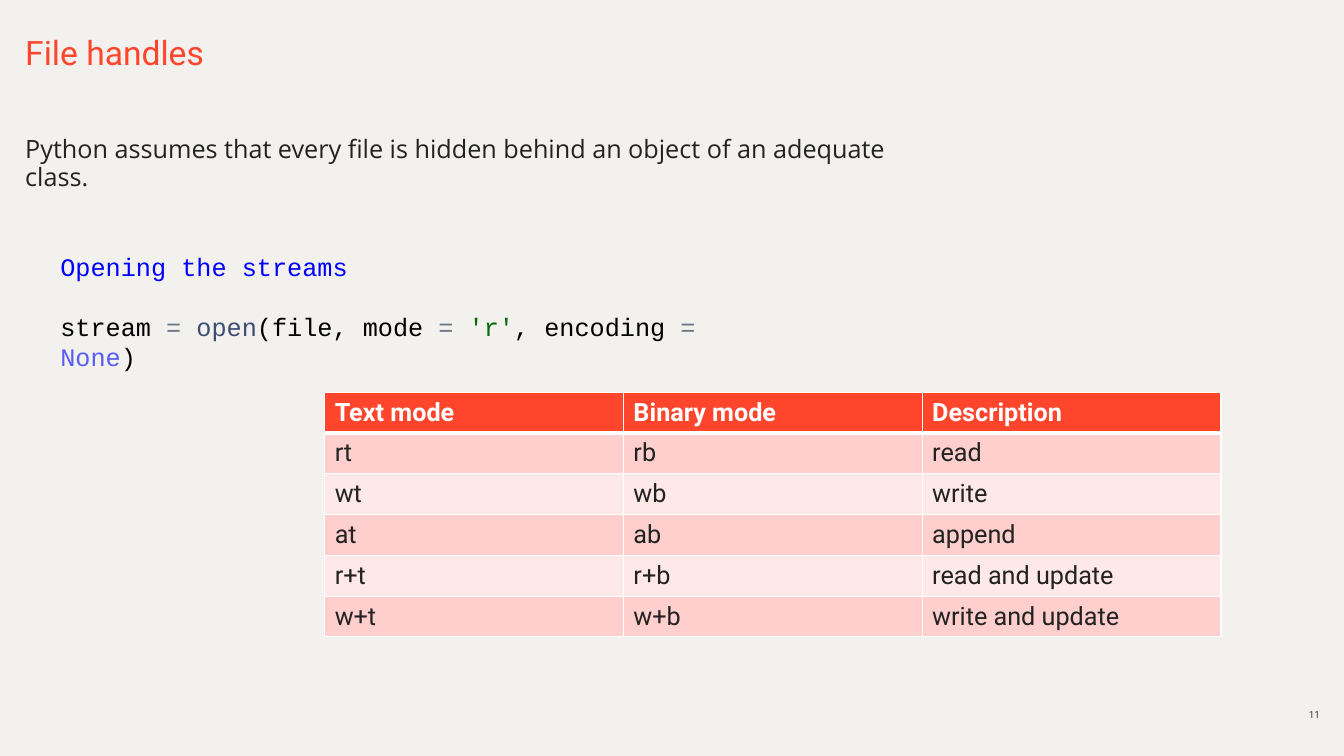
from lxml.etree import SubElement
from pptx import Presentation
from pptx.dml.color import RGBColor
from pptx.enum.text import MSO_ANCHOR as Anchor, PP_ALIGN as Align
from pptx.oxml.ns import qn
from pptx.util import Pt

PX = 9144
SLIDE = (1333, 750)
BACKGROUND = "F2F1EE"
INK, RED, WHITE, BLACK, GREY = "222222", "FF462D", "FFFFFF", "000000", "687687"
BANDS = ["FFCFCD", "FFE9E8"]

TITLE = [[("File handles", RED)]]
INTRO = [[("Python assumes that every file is hidden behind an object of an adequate class.", INK)]]
PAGE_NUMBER = [[("11", "3D3B3B")]]
CODE = [
    [("Opening the streams", "0000FF")],
    [("stream ", BLACK), ("= ", GREY), ("open", "3C4C72"), ("(file, mode ", BLACK),
     ("= ", GREY), ("'r'", "036A07"), (", encoding ", BLACK), ("= ", GREY),
     ("None", "585CF6"), (")", BLACK)],
]
MODES = [
    ("Text mode", "Binary mode", "Description"),
    ("rt", "rb", "read"),
    ("wt", "wb", "write"),
    ("at", "ab", "append"),
    ("r+t", "r+b", "read and update"),
    ("w+t", "w+b", "write and update"),
]

TITLE_BOX = (25, 32, 808, 31)
INTRO_BOX = (25, 136, 882, 199)
CODE_BOX = (50, 244, 667, 131)
PAGE_NUMBER_BOX = (1281, 691, 28, 24)
MODES_BOX = (322, 389, 889, 243)

TITLE_FONT = {"name": "Roboto", "size": Pt(24), "bold": False}
INTRO_FONT = {"name": "Open Sans", "size": Pt(18)}
CODE_FONT = {"name": "Courier New", "size": Pt(18)}
NUMBER_FONT = {"name": "Roboto", "size": Pt(7)}
HEADER_FONT = {"name": "Roboto", "size": Pt(18), "bold": True}
CELL_FONT = {**HEADER_FONT, "bold": False}

FLUSH = {f"margin_{side}": 0 for side in ("left", "top", "right", "bottom")}
TOP = {"word_wrap": True, "vertical_anchor": Anchor.TOP}
LEFT = {"alignment": Align.LEFT}


def color(value):
    return RGBColor.from_string(value)


def emu(box):
    return [length * PX for length in box]


def apply(target, values):
    for key, value in values.items():
        setattr(target, key, value)


def write(frame, lines, font, layout):
    for index, line in enumerate(lines):
        paragraph = frame.add_paragraph() if index else frame.paragraphs[0]
        apply(paragraph, layout)
        for words, ink in line:
            run = paragraph.add_run()
            run.text = words
            apply(run.font, font)
            run.font.color.rgb = color(ink)


def place(shape, box, lines, font, frame_values, layout):
    apply(shape, dict(zip(("left", "top", "width", "height"), emu(box))))
    apply(shape.text_frame, frame_values)
    write(shape.text_frame, lines, font, layout)


def border(cell, bottom_width, top_width):
    properties = cell._tc.get_or_add_tcPr()
    widths = {"lnL": 1, "lnR": 1, "lnT": top_width, "lnB": bottom_width}
    for position, (tag, width) in enumerate(widths.items()):
        edge = SubElement(properties, qn(f"a:{tag}"), w=str(Pt(width)))
        fill = SubElement(edge, qn("a:solidFill"))
        SubElement(fill, qn("a:srgbClr"), val=WHITE)
        properties.insert(position, edge)


def add_modes(slide):
    rows, columns = len(MODES), len(MODES[0])
    table = slide.shapes.add_table(rows, columns, *emu(MODES_BOX)).table
    for column in table.columns:
        column.width = MODES_BOX[2] * PX // columns
    for row_index, modes in enumerate(MODES):
        header = row_index == 0
        table.rows[row_index].height = MODES_BOX[3] * PX // rows
        for column_index, words in enumerate(modes):
            cell = table.cell(row_index, column_index)
            cell.vertical_anchor = Anchor.MIDDLE
            cell.fill.solid()
            cell.fill.fore_color.rgb = color(RED if header else BANDS[(row_index - 1) % 2])
            border(cell, 3 if header else 1, 3 if row_index == 1 else 1)
            write(cell.text_frame, [[(words, WHITE if header else INK)]],
                  HEADER_FONT if header else CELL_FONT, LEFT)


def main():
    deck = Presentation()
    deck.slide_width, deck.slide_height = emu(SLIDE)
    slide = deck.slides.add_slide(deck.slide_layouts[5])
    slide.background.fill.solid()
    slide.background.fill.fore_color.rgb = color(BACKGROUND)

    place(slide.shapes.title, TITLE_BOX, TITLE, TITLE_FONT, {**FLUSH, **TOP}, LEFT)
    texts = [
        (INTRO_BOX, INTRO, INTRO_FONT, {**FLUSH, **TOP}, {**LEFT, "line_spacing": 0.9}),
        (PAGE_NUMBER_BOX, PAGE_NUMBER, NUMBER_FONT,
         {**FLUSH, **TOP, "vertical_anchor": Anchor.BOTTOM}, {"alignment": Align.RIGHT}),
        (CODE_BOX, CODE, CODE_FONT, TOP, {**LEFT, "line_spacing": Pt(21.6)}),
    ]
    for box, lines, font, frame_values, layout in texts:
        text = slide.shapes.add_textbox(*emu(box))
        place(text, box, lines, font, frame_values, layout)
    text.text_frame.paragraphs[1].space_before = Pt(21.6)

    add_modes(slide)
    deck.save("out.pptx")


if __name__ == "__main__":
    main()
